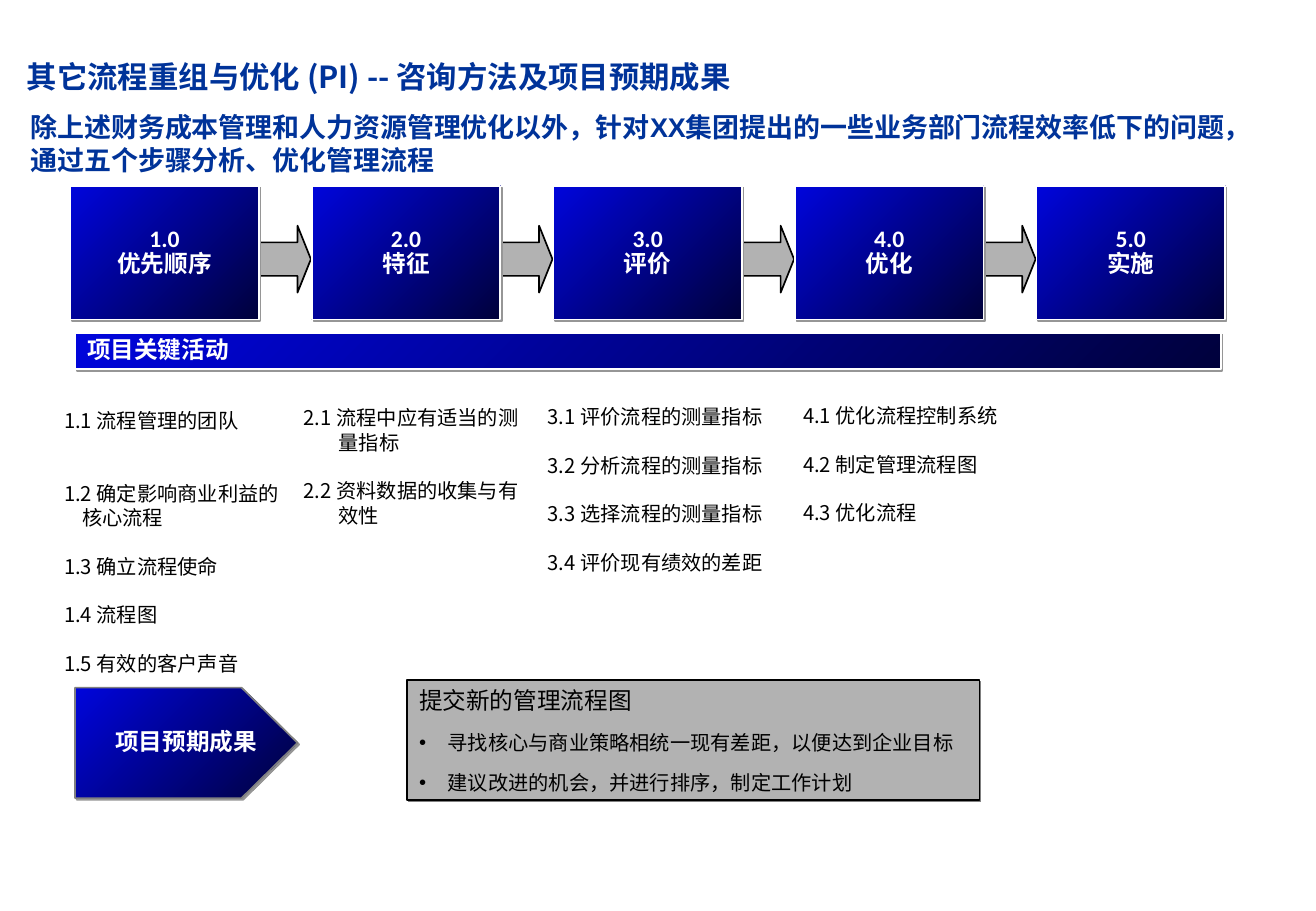
from dataclasses import dataclass

from lxml import etree
from pptx import Presentation
from pptx.dml.color import RGBColor
from pptx.enum.shapes import MSO_SHAPE
from pptx.enum.text import MSO_ANCHOR, PP_ALIGN
from pptx.oxml.ns import qn
from pptx.util import Cm, Pt

RECT, ARROW = MSO_SHAPE.RECTANGLE, MSO_SHAPE.RIGHT_ARROW
LEFT, CENTER = PP_ALIGN.LEFT, PP_ALIGN.CENTER
TOP, MIDDLE, BOTTOM = MSO_ANCHOR.TOP, MSO_ANCHOR.MIDDLE, MSO_ANCHOR.BOTTOM
CJK = "Noto Sans CJK SC"
NAVY, BLACK, WHITE, GRAY = "003399", "000000", "FFFFFF", "B2B2B2"
SHADE, DARK_SHADE = "969696", "808080"
LINE = 14.4


@dataclass
class Style:
    size: float
    line: float
    color: str = BLACK
    font: str = CJK
    bold: bool = False
    align: int = LEFT


@dataclass
class Para:
    text: str
    style: Style
    before: float = 0
    after: float = 0
    margin: float = 0
    bullet: bool = False


@dataclass
class Box:
    left: float
    top: float
    width: float
    height: float


@dataclass
class Activity:
    text: str
    gap: int = 1
    margin: float = 0


@dataclass
class Column:
    box: Box
    activities: list[Activity]


TITLE = Style(18, 21.6, NAVY, CJK, True)
SUBTITLE = Style(16, 19.5, NAVY, "Arial", True)
STEP = Style(14, LINE, WHITE, "Calibri", True, CENTER)
BAR = Style(14, LINE, WHITE, "Calibri", True)
ITEM = Style(12, LINE)
RESULT = Style(14, 16.8)

STEPS = ["优先顺序", "特征", "评价", "优化", "实施"]
STEP_PITCH = 5.05
COLUMNS = [
    Column(Box(1.09, 8.41, 5.44, 5.84), [
        Activity("1.1 流程管理的团队", 0),
        Activity("1.2 确定影响商业利益的", 2),
        Activity("核心流程", 0, 0.38),
        Activity("1.3 确立流程使命"),
        Activity("1.4 流程图"),
        Activity("1.5 有效的客户声音"),
    ]),
    Column(Box(6.1, 8.36, 5.31, 2.79), [
        Activity("2.1 流程中应有适当的测", 0),
        Activity("量指标", 0, 0.73),
        Activity("2.2 资料数据的收集与有"),
        Activity("效性", 0, 0.73),
    ]),
    Column(Box(11.2, 8.33, 5.31, 3.81), [
        Activity("3.1 评价流程的测量指标", 0),
        Activity("3.2 分析流程的测量指标"),
        Activity("3.3 选择流程的测量指标"),
        Activity("3.4 评价现有绩效的差距"),
    ]),
    Column(Box(16.54, 8.31, 4.95, 2.79), [
        Activity("4.1 优化流程控制系统", 0),
        Activity("4.2 制定管理流程图"),
        Activity("4.3 优化流程"),
    ]),
]


def rgb(value: str) -> RGBColor:
    return RGBColor.from_string(value)


def write(sp, paras: list[Para], anchor=MIDDLE, inset: bool = True) -> None:
    tf = sp.text_frame
    tf.word_wrap = True
    tf.vertical_anchor = anchor
    tf.margin_left = tf.margin_right = Cm(0.25 if inset else 0)
    tf.margin_top = tf.margin_bottom = Cm(0.13 if inset else 0)
    for i, para in enumerate(paras):
        style = para.style
        p = tf.add_paragraph() if i else tf.paragraphs[0]
        p.alignment = style.align
        p.line_spacing = Pt(style.line)
        p.space_before, p.space_after = Pt(para.before), Pt(para.after)
        pPr = p._p.get_or_add_pPr()
        pPr.set("marL", str(Cm(para.margin)))
        pPr.set("indent", str(-Cm(para.margin) if para.bullet else 0))
        if para.bullet:
            etree.SubElement(pPr, qn("a:buFont"), typeface="Arial")
            etree.SubElement(pPr, qn("a:buChar"), char="•")
        r = p.add_run()
        r.text = para.text
        r.font.size, r.font.bold = Pt(style.size), style.bold
        r.font.color.rgb = rgb(style.color)
        r.font.name = style.font
        etree.SubElement(r._r.get_or_add_rPr(), qn("a:ea"), typeface=CJK)


def add_text(s, box: Box, paras: list[Para], anchor=MIDDLE, inset: bool = True) -> None:
    sp = s.shapes.add_textbox(Cm(box.left), Cm(box.top), Cm(box.width), Cm(box.height))
    write(sp, paras, anchor, inset)


def add_preset(s, kind, box: Box):
    return s.shapes.add_shape(kind, Cm(box.left), Cm(box.top), Cm(box.width), Cm(box.height))


def paint(sp, line: str, weight: float = 1, fill: str = "", shadow: str = "") -> None:
    if fill:
        sp.fill.solid()
        sp.fill.fore_color.rgb = rgb(fill)
    else:
        sp.fill.gradient()
        sp.fill.gradient_angle = 315
        for stop, color, position in zip(sp.fill.gradient_stops, ("0005DC", "00013C"), (0, 1)):
            stop.color.rgb = rgb(color)
            stop.position = position
    sp.line.color.rgb = rgb(line)
    sp.line.width = Pt(weight)
    sp.shadow.inherit = False
    if shadow:
        effects = sp._element.spPr.find(qn("a:effectLst"))
        outer = etree.SubElement(effects, qn("a:outerShdw"), blurRad="0",
                                 dist=str(Pt(1.4)), dir="2700000", algn="ctr", rotWithShape="0")
        etree.SubElement(outer, qn("a:srgbClr"), val=shadow)


def add_pentagon(s, box: Box, shoulder: float):
    right, bottom = box.left + box.width, box.top + box.height
    builder = s.shapes.build_freeform(Cm(box.left), Cm(box.top))
    points = [(shoulder, box.top), (right, box.top + box.height / 2),
              (shoulder, bottom), (box.left, bottom)]
    builder.add_line_segments([(Cm(x), Cm(y)) for x, y in points], close=True)
    return builder.convert_to_shape()


def main() -> None:
    prs = Presentation()
    prs.slide_width, prs.slide_height = Cm(27.51), Cm(19.05)
    s = prs.slides.add_slide(prs.slide_layouts[6])

    add_text(s, Box(0.56, 0.46, 24.66, 1.52),
             [Para("其它流程重组与优化 (PI) -- 咨询方法及项目预期成果", TITLE)], BOTTOM, False)
    add_text(s, Box(0.64, 1.98, 25.6, 1.7),
             [Para("除上述财务成本管理和人力资源管理优化以外，针对XX集团提出的一些业务部门流程效率低下的问题，"
                   "通过五个步骤分析、优化管理流程", SUBTITLE)], BOTTOM, False)

    for i in range(len(STEPS) - 1):
        arrow = add_preset(s, ARROW, Box(5.38 + i * STEP_PITCH, 4.72, 1.12, 1.4))
        arrow.adjustments[0], arrow.adjustments[1] = 0.5, 0.25
        paint(arrow, BLACK, fill=GRAY)
    for i, name in enumerate(STEPS):
        step = add_preset(s, RECT, Box(1.47 + i * STEP_PITCH, 3.89, 3.94, 2.79))
        paint(step, WHITE, shadow=SHADE)
        write(step, [Para(f"{i + 1}.0", STEP), Para(name, STEP)])

    for column in COLUMNS:
        add_text(s, column.box, [Para(a.text, ITEM, before=a.gap * LINE, margin=a.margin)
                                 for a in column.activities])

    bar = add_preset(s, RECT, Box(1.57, 6.96, 23.95, 0.76))
    paint(bar, WHITE, shadow=SHADE)
    write(bar, [Para("项目关键活动", BAR)])

    results = add_preset(s, RECT, Box(8.51, 14.22, 11.96, 2.51))
    paint(results, BLACK, 0.75, GRAY, DARK_SHADE)
    bullets = ["寻找核心与商业策略相统一现有差距，以便达到企业目标",
               "建议改进的机会，并进行排序，制定工作计划"]
    write(results, [Para("提交新的管理流程图", RESULT, after=3.5)]
          + [Para(text, ITEM, 6, 3, 0.6, True) for text in bullets], TOP)

    outcome = add_pentagon(s, Box(1.57, 14.38, 4.65, 2.31), 5.05)
    paint(outcome, DARK_SHADE, shadow=SHADE)
    write(outcome, [Para("项目预期成果", STEP)])

    prs.save("out.pptx")


if __name__ == "__main__":
    main()
